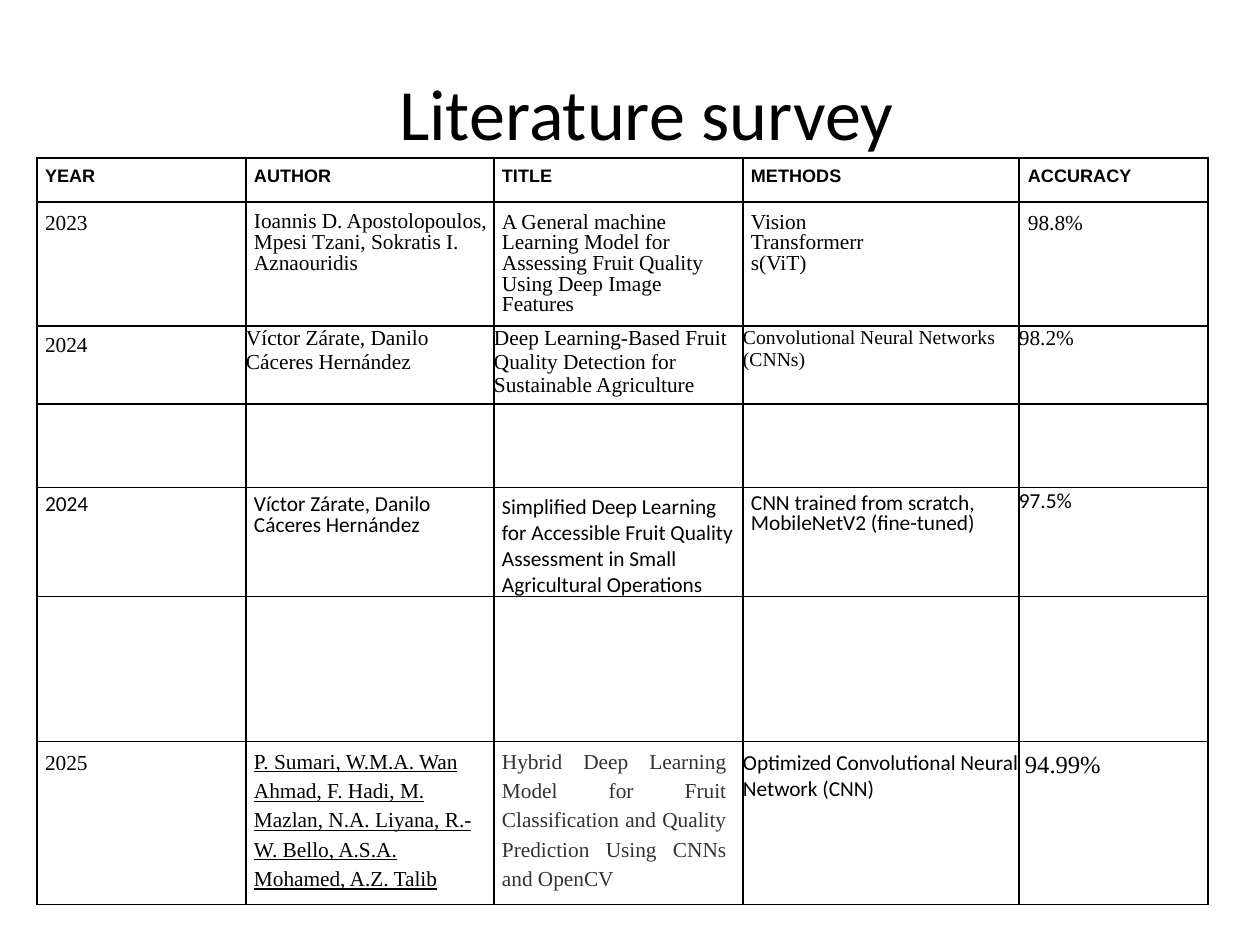
from lxml import etree
from pptx import Presentation
from pptx import util as u
from pptx.dml.color import RGBColor
from pptx.enum import text
from pptx.oxml.ns import qn

PX = 7743  # EMU in one px


class Theme:
    ink = "000000"
    grey = "333333"
    paper = "FFFFFF"
    sans, serif, head = "Calibri", "Times New Roman", "Arial"
    title, label, small, body, large = 44, 11, 12, 13, 15
    blank = 8
    rule = 1


def add_run(para, words, font, size, color=Theme.ink, bold=False, line=False):
    run = para.add_run()
    run.text = words
    run.font.name = font
    run.font.size = u.Pt(size)
    run.font.bold = bold
    run.font.underline = line
    run.font.color.rgb = RGBColor.from_string(color)


def add_rules(cell, sides):
    props = cell._tc.get_or_add_tcPr()
    for i, side in enumerate("LRTB"):
        shown = side in sides
        line = etree.Element(qn(f"a:ln{side}"), w=str(u.Pt(Theme.rule) if shown else 0))
        fill = etree.SubElement(line, qn("a:solidFill" if shown else "a:noFill"))
        if shown:
            etree.SubElement(fill, qn("a:srgbClr"), val=Theme.ink)
        props.insert(i, line)


deck = Presentation()
deck.slide_width, deck.slide_height = 1260 * PX, 945 * PX
slide = deck.slides.add_slide(deck.slide_layouts[6])

# Paper panels behind the table: left, top, width, height
panels = [(261, 497, 234, 84), (513, 497, 235, 109), (261, 807, 234, 61),
          (513, 807, 235, 119), (261, 337, 74, 20)]
plans = [[(x, y), (x + w, y), (x + w, y + h), (x, y + h)] for x, y, w, h in panels]

# Stepped panel behind the methods: right edge of each band
steps = [(1012, 654), (916, 677), (989, 699), (989, 721), (907, 743), (907, 765)]
plans.append([(765, 654), (1012, 654), (1012, 677), (916, 677), (916, 699), (923, 699),
              (923, 721), (989, 721), (989, 743), (907, 743), (907, 765), (765, 765)])
for plan in plans:
    pen = slide.shapes.build_freeform(*plan[0], scale=PX)
    pen.add_line_segments(plan[1:], close=True)
    panel = pen.convert_to_shape()
    panel.shadow.inherit = False
    panel.fill.solid()
    panel.fill.fore_color.rgb = RGBColor.from_string(Theme.paper)
    panel.line.fill.background()

# Title
box = slide.shapes.add_textbox(326 * PX, 66 * PX, 641 * PX, 90 * PX)
frame = box.text_frame
frame.word_wrap = True
frame.vertical_anchor = text.MSO_ANCHOR.MIDDLE
frame.margin_left = frame.margin_right = frame.margin_bottom = 0
frame.margin_top = PX
frame.paragraphs[0].alignment = text.PP_ALIGN.CENTER
add_run(frame.paragraphs[0], "Literature survey", Theme.sans, Theme.title)

# Survey entries by table row; a cell is
# (top px, left px, right px, line spacing, runs)
T = Theme
tight, mid, close, wide = u.Pt(12.6), u.Pt(12.9), u.Pt(11.9), 1.25
heads = ["YEAR", "AUTHOR", "TITLE", "METHODS", "ACCURACY"]
rows = {
    0: [(8, 9 if name == "ACCURACY" else 8, 0, None, [(name, T.head, T.label, T.ink, True)])
        for name in heads],
    1: [
        (10, 8, 0, None, [("2023", T.serif, T.body)]),
        (10, 8, 0, mid, [("Ioannis D. Apostolopoulos, Mpesi Tzani, Sokratis I. Aznaouridis",
                          T.serif, T.body)]),
        (11, 8, 14, tight, [("A General machine Learning Model for Assessing Fruit Quality "
                             "Using Deep Image Features", T.serif, T.body)]),
        (11, 8, 152, tight, [("Vision Transformerrs(ViT)", T.serif, T.body)]),
        (10, 9, 0, None, [("98.8%", T.serif, T.body)]),
    ],
    2: [
        (10, 8, 0, tight, [("2024", T.serif, T.body)]),
        (1, 0, 0, None, [("Víctor Zárate, Danilo Cáceres Hernández", T.serif, T.body)]),
        (1, 0, 0, None, [("Deep Learning-Based Fruit Quality Detection for Sustainable "
                          "Agriculture", T.serif, T.body)]),
        (1, 0, 0, None, [("Convolutional Neural Networks (CNNs)", T.serif, T.small)]),
        (1, 0, 0, None, [("98.2%", T.serif, T.body)]),
    ],
    6: [
        (9, 8, 0, tight, [("2024", T.sans, T.body)]),
        (9, 8, 0, tight, [("Víctor Zárate, Danilo Cáceres Hernández", T.sans, T.body)]),
        (6, 8, 0, None, [("S", T.sans, T.small),
                         ("implified Deep Learning for Accessible Fruit Quality Assessment "
                          "in Small Agricultural Operations", T.sans, T.body)]),
        (9, 8, 0, close, [("CNN trained from scratch, MobileNetV2 (fine-tuned)",
                           T.sans, T.body)]),
        (0, 0, 0, None, [("97.5%", T.sans, T.body)]),
    ],
    12: [
        (10, 8, 0, None, [("2025", T.serif, T.body)]),
        (3, 8, 17, wide, [("P. Sumari, W.M.A. Wan Ahmad, F. Hadi, M. Mazlan, N.A. Liyana, "
                           "R.-W. Bello, A.S.A. Mohamed, A.Z. Talib",
                           T.serif, T.body, T.ink, False, True)]),
        (3, 8, 17, wide, [("Hybrid Deep Learning Model for Fruit Classification and Quality "
                           "Prediction Using CNNs and OpenCV", T.serif, T.body, T.grey)]),
        (9, 0, 0, None, [("Optimized Convolutional Neural Network (CNN)", T.sans, T.body)]),
        (10, 6, 0, None, [("94.99%", T.serif, T.large)]),
    ],
}

# Table grid
wides = [209, 248, 249, 276, 189]
highs = [44, 124, 77, 31, 28, 25, 109, 52, 24, 22, 23, 24, 162]
table = slide.shapes.add_table(len(highs), len(wides), 37 * PX, 158 * PX,
                               sum(wides) * PX, sum(highs) * PX).table
table.first_row = table.horz_banding = False
for col, wide_px in zip(table.columns, wides):
    col.width = wide_px * PX
for row, high in zip(table.rows, highs):
    row.height = high * PX

# Cells: blank rows extend the entry above and close before the next one
for r in range(len(highs)):
    for c in range(len(wides)):
        cell = table.cell(r, c)
        cell.fill.background()
        cell.margin_left = cell.margin_right = cell.margin_top = cell.margin_bottom = 0
        para = cell.text_frame.paragraphs[0]
        if r not in rows:
            etree.SubElement(para._p, qn("a:endParaRPr"), sz=str(T.blank * 100))
            add_rules(cell, "LRB" if r + 1 in rows else "LRT" if r - 1 in rows else "LR")
            continue
        top, left, right, lead, runs = rows[r][c]
        cell.margin_top = top * PX
        props = para._p.get_or_add_pPr()
        props.set("marL", str(left * PX))
        props.set("marR", str(right * PX))
        props.set("indent", "0")
        if lead:
            para.line_spacing = lead
        if (r, c) == (12, 2):
            para.alignment = text.PP_ALIGN.JUSTIFY
        for run in runs:
            add_run(para, *run)
        add_rules(cell, "LRTB")

deck.save("out.pptx")
